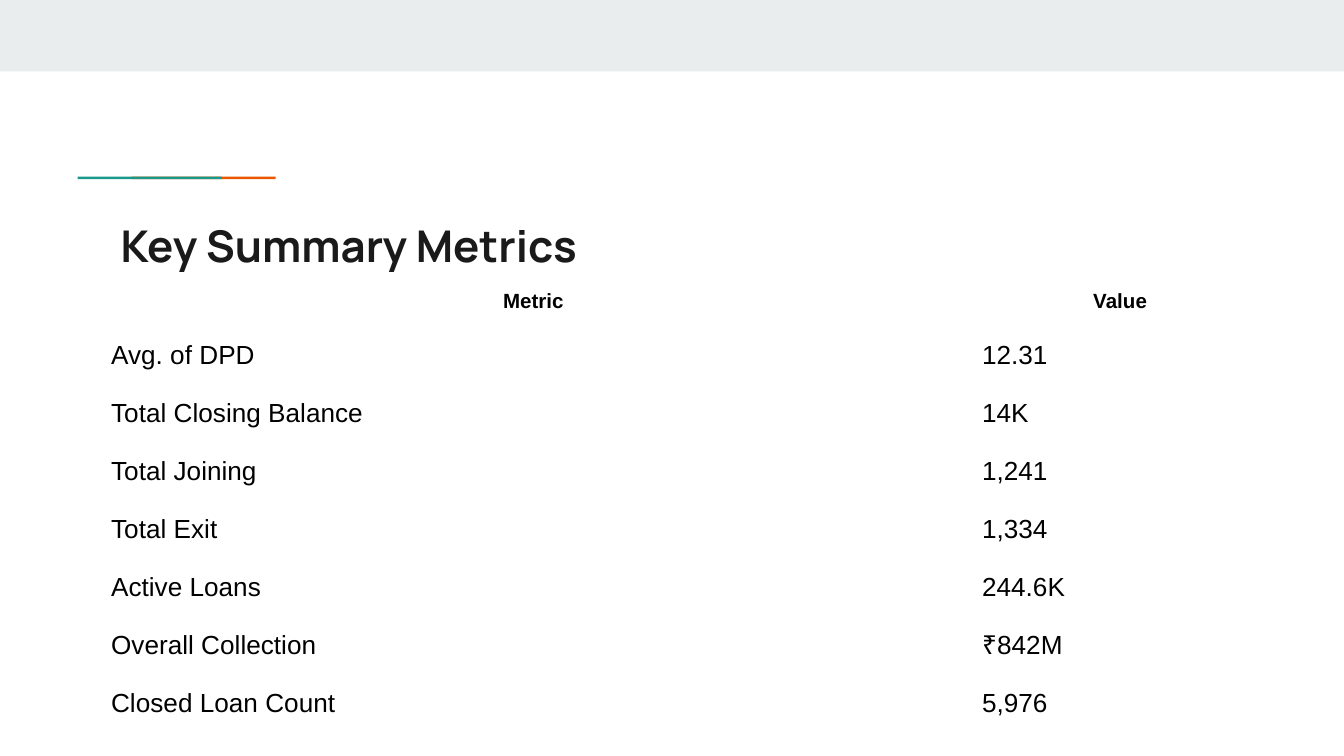
from dataclasses import dataclass

from pptx import Presentation
from pptx.dml.color import RGBColor
from pptx.enum.shapes import MSO_SHAPE
from pptx.enum.text import PP_ALIGN
from pptx.util import Cm, Pt


@dataclass(frozen=True)
class Theme:
    band: str = "E9EDEE"
    orange: str = "EB5600"
    teal: str = "1A9988"
    title: str = "1A1A1A"
    text: str = "000000"
    title_font: str = "Manrope"
    body_font: str = "Arial"
    title_size: float = 23.4
    header_size: float = 11
    body_size: float = 14


THEME = Theme()
INSET = Cm(0.25)
METRICS = [
    ("Metric", "Value"),
    ("Avg. of DPD", "12.31"),
    ("Total Closing Balance", "14K"),
    ("Total Joining", "1,241"),
    ("Total Exit", "1,334"),
    ("Active Loans", "244.6K"),
    ("Overall Collection", "₹842M"),
    ("Closed Loan Count", "5,976"),
]


def add_bar(s, left, top, width, height, color):
    sp = s.shapes.add_shape(
        MSO_SHAPE.RECTANGLE, Cm(left), Cm(top), Cm(width), Cm(height)
    )
    sp.shadow.inherit = False
    sp.fill.solid()
    sp.fill.fore_color.rgb = RGBColor.from_string(color)
    sp.line.fill.background()


def set_font(p, name, size, color, bold):
    p.font.name = name
    p.font.size = Pt(size)
    p.font.color.rgb = RGBColor.from_string(color)
    p.font.bold = bold


def set_insets(box):
    box.margin_left = box.margin_right = INSET
    box.margin_top = box.margin_bottom = INSET


def add_title(s, text):
    sp = s.shapes.add_textbox(Cm(2.03), Cm(3.89), Cm(21.36), Cm(1.5))
    tf = sp.text_frame
    tf.word_wrap = True
    set_insets(tf)
    p = tf.paragraphs[0]
    p.text = text
    set_font(p, THEME.title_font, THEME.title_size, THEME.title, True)


def fill_cell(cell, text, header):
    cell.fill.background()
    set_insets(cell)
    p = cell.text_frame.paragraphs[0]
    p.text = text
    size = THEME.header_size if header else THEME.body_size
    set_font(p, THEME.body_font, size, THEME.text, header)
    if header:
        p.alignment = PP_ALIGN.CENTER
        p.line_spacing = 1.15


def add_metrics_table(s, rows, widths, header_height, row_height):
    height = header_height + row_height * (len(rows) - 1)
    table = s.shapes.add_table(
        len(rows), len(widths), Cm(1.85), Cm(5.16), Cm(sum(widths)), Cm(height)
    ).table
    table.first_row = False
    table.horz_banding = False
    for column, width in zip(table.columns, widths):
        column.width = Cm(width)
    for i, values in enumerate(rows):
        table.rows[i].height = Cm(row_height if i else header_height)
        for j, text in enumerate(values):
            fill_cell(table.cell(i, j), text, header=i == 0)


def main():
    prs = Presentation()
    prs.slide_width, prs.slide_height = Cm(25.4), Cm(14.29)
    s = prs.slides.add_slide(prs.slide_layouts[6])
    add_bar(s, 0, 0, 25.4, 1.35, THEME.band)
    for left, color in ((2.49, THEME.orange), (1.47, THEME.teal)):
        add_bar(s, left, 3.34, 2.72, 0.05, color)
    add_title(s, "Key Summary Metrics")
    add_metrics_table(s, METRICS, (16.46, 5.72), 0.97, 0.99)
    prs.save("out.pptx")


if __name__ == "__main__":
    main()
